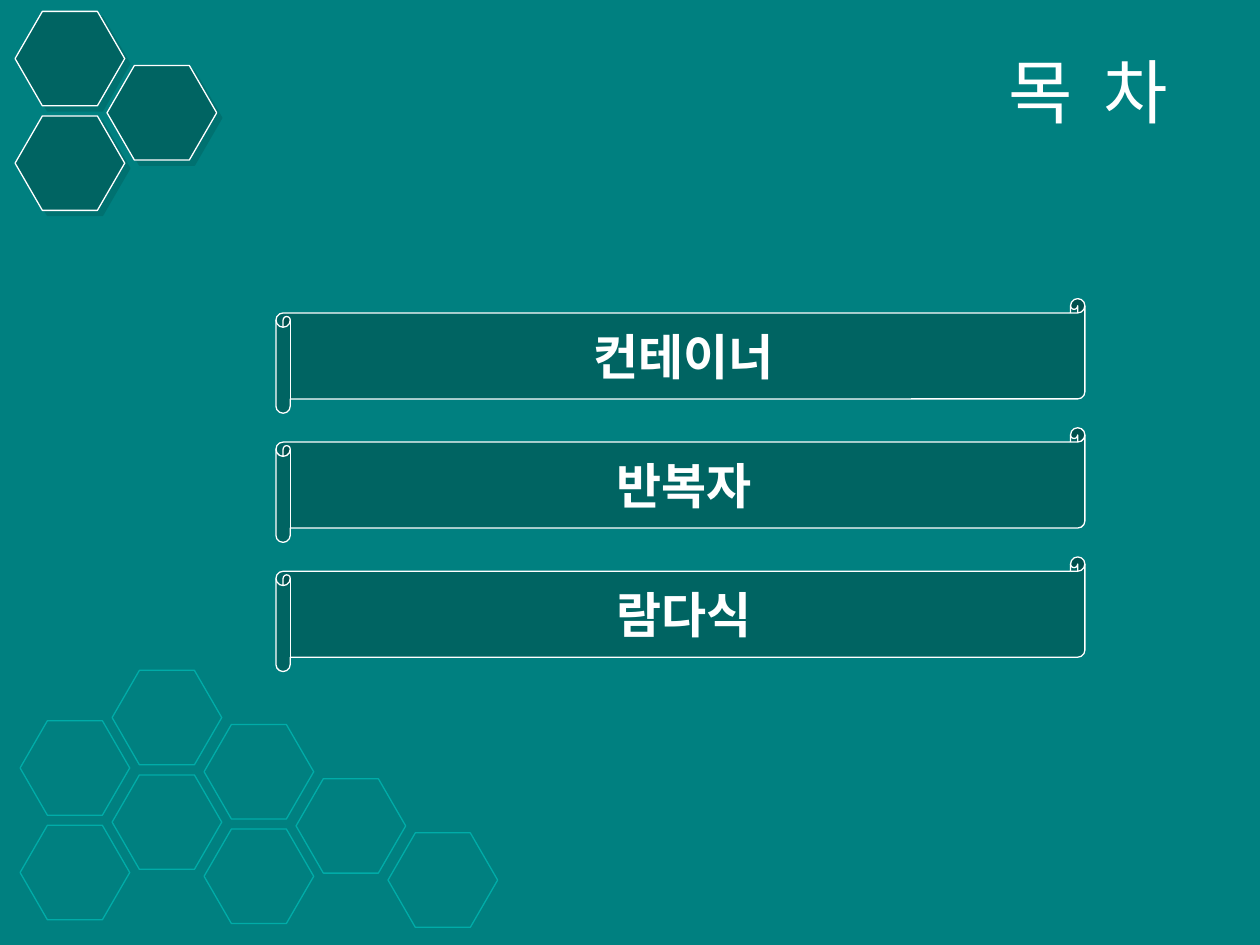
from typing import NamedTuple, Optional

from lxml import etree
from pptx import Presentation
from pptx import util as u
from pptx.dml import color
from pptx.enum import shapes, text
from pptx.oxml import ns

TEAL, DARK, PALE, WHITE = "008080", "006462", "00ACA8", "FFFFFF"
KOREAN = "Noto Sans CJK KR"
HEX_W, HEX_H = 0.87, 0.75
COLUMN_STEP, COLUMN_DROP, ROW_STEP = 0.73, 0.43, 0.83


class Honeycomb(NamedTuple):
    left: float
    top: float
    cells: list[tuple[int, int]]  # (column, row)
    line: str
    fill: Optional[str] = None


def rgb(value: str) -> color.RGBColor:
    return color.RGBColor.from_string(value)


def write(frame, words: str, *, size: float, font: str, align, bold=False, ink=WHITE) -> None:
    frame.word_wrap = True
    frame.vertical_anchor = text.MSO_ANCHOR.MIDDLE
    paragraph = frame.paragraphs[0]
    paragraph.alignment = align
    run = paragraph.add_run()
    run.text = words
    run.font.size = u.Pt(size)
    run.font.bold = bold
    run.font.color.rgb = rgb(ink)
    run.font.name = font
    east_asian = etree.SubElement(run.font._element, ns.qn("a:ea"))
    east_asian.set("typeface", KOREAN)


def add_outlined(slide, kind, left: float, top: float, width: float, height: float,
                 line: str, fill: Optional[str]):
    shape = slide.shapes.add_shape(
        kind, u.Inches(left), u.Inches(top), u.Inches(width), u.Inches(height))
    shape.shadow.inherit = False
    if fill:
        shape.fill.solid()
        shape.fill.fore_color.rgb = rgb(fill)
    else:
        shape.fill.background()
    shape.line.color.rgb = rgb(line)
    shape.line.width = u.Pt(0.75)
    return shape


def cast_shadow(shape, tint: str) -> None:
    effects = shape._element.spPr.find(ns.qn("a:effectLst"))
    shadow = etree.SubElement(effects, ns.qn("a:outerShdw"), dist=str(u.Pt(4.2)),
                              dir="2700000", algn="ctr", rotWithShape="0")
    shade = etree.SubElement(shadow, ns.qn("a:srgbClr"), val=tint)
    etree.SubElement(shade, ns.qn("a:alpha"), val="50000")


def draw_honeycomb(slide, comb: Honeycomb) -> None:
    for column, row in comb.cells:
        cell = add_outlined(
            slide, shapes.MSO_SHAPE.HEXAGON,
            comb.left + column * COLUMN_STEP,
            comb.top + column * COLUMN_DROP + row * ROW_STEP,
            HEX_W, HEX_H, comb.line, comb.fill)
        cell.adjustments[0] = 0.289
        if comb.fill:
            cast_shadow(cell, DARK)


presentation = Presentation()
presentation.slide_width, presentation.slide_height = u.Inches(10), u.Inches(7.5)
contents = presentation.slides.add_slide(presentation.slide_layouts[5])
contents.background.fill.solid()
contents.background.fill.fore_color.rgb = rgb(TEAL)

# Honeycomb decoration
for comb in (
    Honeycomb(0.16, 5.72, [(0, 0), (0, 1), (1, -1), (1, 0), (2, -1), (2, 0),
                           (3, -1), (4, -1)], PALE),
    Honeycomb(0.12, 0.09, [(0, 1), (0, 0), (1, 0)], WHITE, DARK),
):
    draw_honeycomb(contents, comb)

# Title
heading = contents.shapes.title
heading.left, heading.top = u.Inches(1.85), u.Inches(0.28)
heading.width, heading.height = u.Inches(7.52), u.Inches(0.87)
write(heading.text_frame, "목  차", size=40, font="Arial", align=text.PP_ALIGN.RIGHT)

# Chapter scrolls
for index, chapter in enumerate(("컨테이너", "반복자", "람다식")):
    scroll = add_outlined(contents, shapes.MSO_SHAPE.HORIZONTAL_SCROLL,
                          2.19, 2.37 + index * 1.025, 6.42, 0.91, WHITE, DARK)
    write(scroll.text_frame, chapter, size=28, font=KOREAN,
          align=text.PP_ALIGN.CENTER, bold=True)

presentation.save("out.pptx")
